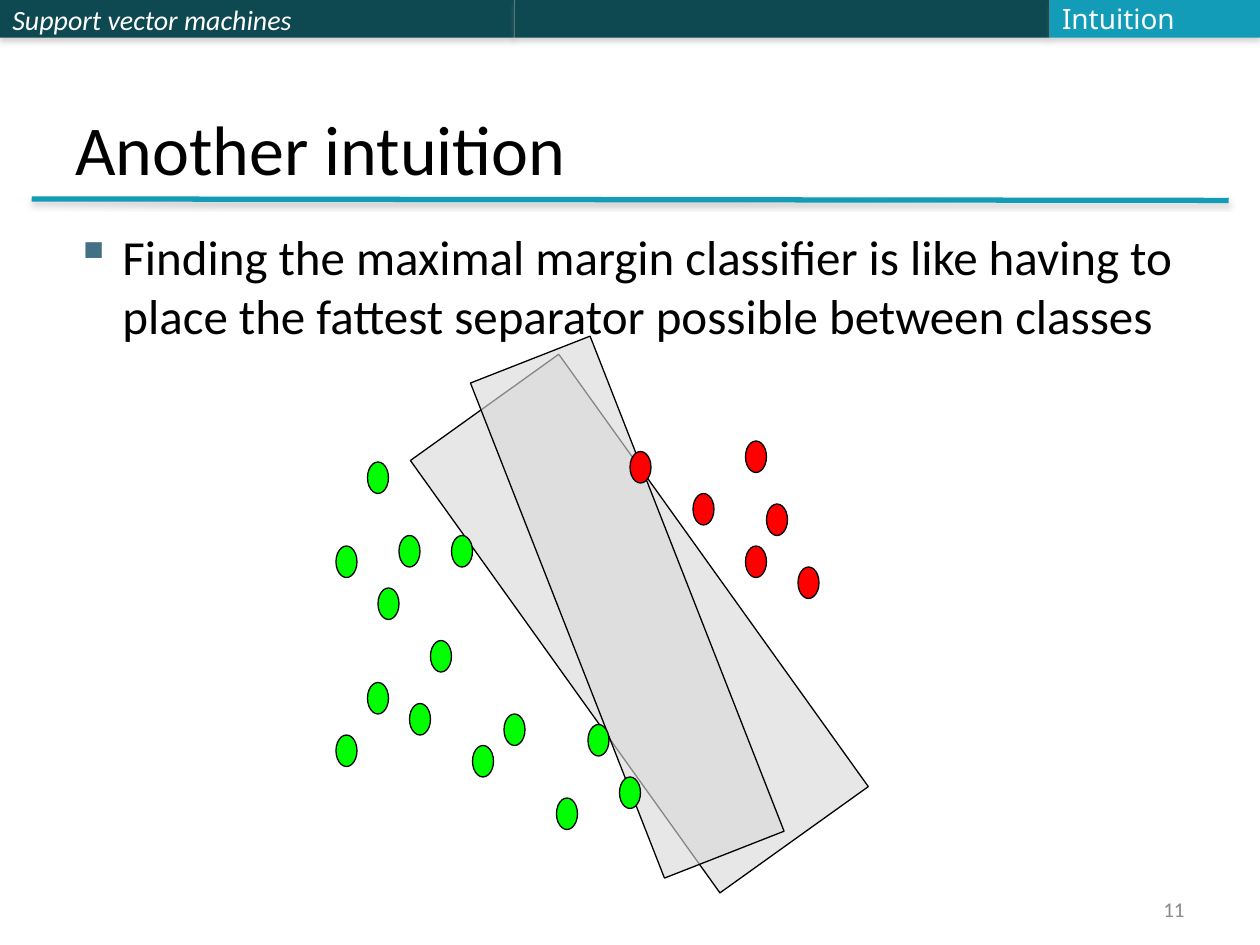
from dataclasses import dataclass
from typing import NamedTuple

from lxml.etree import SubElement
from pptx import Presentation
from pptx.dml.color import RGBColor
from pptx.enum.shapes import MSO_CONNECTOR, MSO_SHAPE
from pptx.enum.text import MSO_ANCHOR, MSO_AUTO_SIZE, PP_ALIGN
from pptx.oxml.ns import qn
from pptx.util import Cm, Pt


@dataclass(frozen=True)
class Theme:
    font: str = "Calibri"
    section_font: str = "Noto Sans"
    ink: str = "000000"
    banner: str = "0E4851"
    accent: str = "139CB7"
    banner_text: str = "FFFFFF"
    section_text: str = "FBFCFF"
    muted: str = "898989"
    bullet: str = "437085"
    shadow: str = "808080"
    separator: str = "D9D9D9"
    positive: str = "00FF00"
    negative: str = "FF0000"
    title_size: int = 40
    body_size: int = 28
    banner_size: int = 16
    number_size: int = 12
    outline: float = 0.75
    rule: float = 3


class Box(NamedTuple):
    left: float
    top: float
    width: float
    height: float

    def lengths(self) -> tuple:
        return tuple(Cm(value) for value in self)


@dataclass(frozen=True)
class Label:
    text: str
    box: Box
    size: int
    color: str
    font: str
    anchor: MSO_ANCHOR = MSO_ANCHOR.MIDDLE
    align: PP_ALIGN = PP_ALIGN.LEFT
    wrap: bool = True


@dataclass(frozen=True)
class Separator:
    box: Box
    rotation: float


@dataclass(frozen=True)
class DotGroup:
    color: str
    cells: tuple


THEME = Theme()
GRID = 2.54 / 12
BANNER_HEIGHT = 0.76

BANNERS = (
    (0, 10.36, THEME.banner),
    (10.37, 10.79, THEME.banner),
    (21.16, 4.24, THEME.accent),
)
TITLE = Label("Another intuition", Box(1.27, 0.76, 22.86, 3.18),
              THEME.title_size, THEME.ink, THEME.font, MSO_ANCHOR.BOTTOM)
BODY = Label("Finding the maximal margin classifier is like having to place "
             "the fattest separator possible between classes",
             Box(1.27, 4.45, 22.86, 13.77),
             THEME.body_size, THEME.ink, THEME.font, MSO_ANCHOR.TOP)
NUMBER = Label("11", Box(18.21, 17.98, 5.92, 0.69), THEME.number_size,
               THEME.muted, THEME.font, align=PP_ALIGN.RIGHT)
SECTION = Label("Intuition", Box(21.16, -0.1, 2.84, 0.94), THEME.banner_size,
                THEME.section_text, THEME.section_font, wrap=False)

WIDE_SEPARATOR = Separator(Box(11.05, 7.21, 3.68, 10.72), 324.4)
STEEP_SEPARATOR = Separator(Box(11.35, 6.88, 2.59, 10.72), 338.6)
OUTER_DOTS = (
    DotGroup(THEME.positive, (
        (35, 44), (38, 51), (43, 51), (36, 56), (32, 52), (35, 65),
        (39, 67), (32, 70), (41, 61), (45, 71), (53, 76), (48, 68))),
    DotGroup(THEME.negative, ((76, 54), (71, 52), (66, 47), (73, 48), (71, 42))),
)
SUPPORT_DOTS = (
    DotGroup(THEME.negative, ((60, 43),)),
    DotGroup(THEME.positive, ((56, 69), (59, 74))),
)


def rgb(color: str) -> RGBColor:
    return RGBColor.from_string(color)


def add_shadow(effects, distance: float, opacity: int) -> None:
    outer = SubElement(effects, qn("a:outerShdw"), blurRad=str(Pt(3.1)),
                       dist=str(Pt(distance)), dir="5400000", rotWithShape="0")
    tint = SubElement(outer, qn("a:srgbClr"), val=THEME.shadow)
    SubElement(tint, qn("a:alpha"), val=str(opacity * 1000))


def add_filled(slide, kind: MSO_SHAPE, box: Box, color: str, outlined: bool):
    shape = slide.shapes.add_shape(kind, *box.lengths())
    shape.shadow.inherit = False
    shape.fill.solid()
    shape.fill.fore_color.rgb = rgb(color)
    if outlined:
        shape.line.color.rgb = rgb(THEME.ink)
        shape.line.width = Pt(THEME.outline)
    else:
        shape.line.fill.background()
    return shape


def add_banner(slide, left: float, width: float, color: str):
    banner = add_filled(slide, MSO_SHAPE.RECTANGLE,
                        Box(left, 0, width, BANNER_HEIGHT), color, False)
    add_shadow(banner._element.spPr.find(qn("a:effectLst")), 1.8, 35)
    return banner


def add_rule(slide) -> None:
    rule = slide.shapes.add_connector(MSO_CONNECTOR.STRAIGHT,
                                      Cm(0.64), Cm(4.01), Cm(24.77), Cm(4.04))
    rule.line.color.rgb = rgb(THEME.accent)
    rule.line.width = Pt(THEME.rule)
    add_shadow(SubElement(rule._element.spPr, qn("a:effectLst")), 1.6, 38)


def style_paragraph(paragraph, text: str, size: int, color: str, font: str) -> None:
    paragraph.text = text
    paragraph.font.name = font
    paragraph.font.size = Pt(size)
    paragraph.font.color.rgb = rgb(color)


def add_label(slide, label: Label):
    frame = slide.shapes.add_textbox(*label.box.lengths()).text_frame
    frame.word_wrap = label.wrap
    frame.auto_size = MSO_AUTO_SIZE.NONE if label.wrap else MSO_AUTO_SIZE.SHAPE_TO_FIT_TEXT
    frame.vertical_anchor = label.anchor
    paragraph = frame.paragraphs[0]
    style_paragraph(paragraph, label.text, label.size, label.color, label.font)
    paragraph.alignment = label.align
    return paragraph


def add_bullet(paragraph) -> None:
    paragraph.space_before = Pt(THEME.body_size * 0.2)
    properties = paragraph._p.get_or_add_pPr()
    properties.set("marL", str(Cm(0.95)))
    properties.set("indent", str(Cm(-0.95)))
    tint = SubElement(properties, qn("a:buClr"))
    SubElement(tint, qn("a:srgbClr"), val=THEME.bullet)
    SubElement(properties, qn("a:buChar"), char="▪")
    properties.append(properties.find(qn("a:defRPr")))


def add_separator(slide, separator: Separator) -> None:
    band = add_filled(slide, MSO_SHAPE.RECTANGLE, separator.box, THEME.separator, True)
    band.rotation = separator.rotation
    tint = band._element.spPr.find(qn("a:solidFill")).find(qn("a:srgbClr"))
    SubElement(tint, qn("a:alpha"), val="62000")


def add_dots(slide, groups: tuple) -> None:
    for group in groups:
        for column, row in group.cells:
            box = Box(column * GRID, row * GRID, 2 * GRID, 3 * GRID)
            add_filled(slide, MSO_SHAPE.OVAL, box, group.color, True)


def main() -> None:
    deck = Presentation()
    deck.slide_width, deck.slide_height = Cm(25.4), Cm(19.05)
    slide = deck.slides.add_slide(deck.slide_layouts[6])

    topic, *_ = [add_banner(slide, *banner) for banner in BANNERS]
    topic.text_frame.vertical_anchor = MSO_ANCHOR.MIDDLE
    topic_line = topic.text_frame.paragraphs[0]
    style_paragraph(topic_line, "Support vector machines", THEME.banner_size,
                    THEME.banner_text, THEME.font)
    topic_line.font.italic = True
    topic_line.alignment = PP_ALIGN.LEFT

    add_rule(slide)
    add_bullet(add_label(slide, BODY))
    add_label(slide, NUMBER)
    add_label(slide, TITLE)
    add_separator(slide, WIDE_SEPARATOR)
    add_dots(slide, OUTER_DOTS)
    add_separator(slide, STEEP_SEPARATOR)
    add_dots(slide, SUPPORT_DOTS)
    add_label(slide, SECTION)
    deck.save("out.pptx")


if __name__ == "__main__":
    main()
